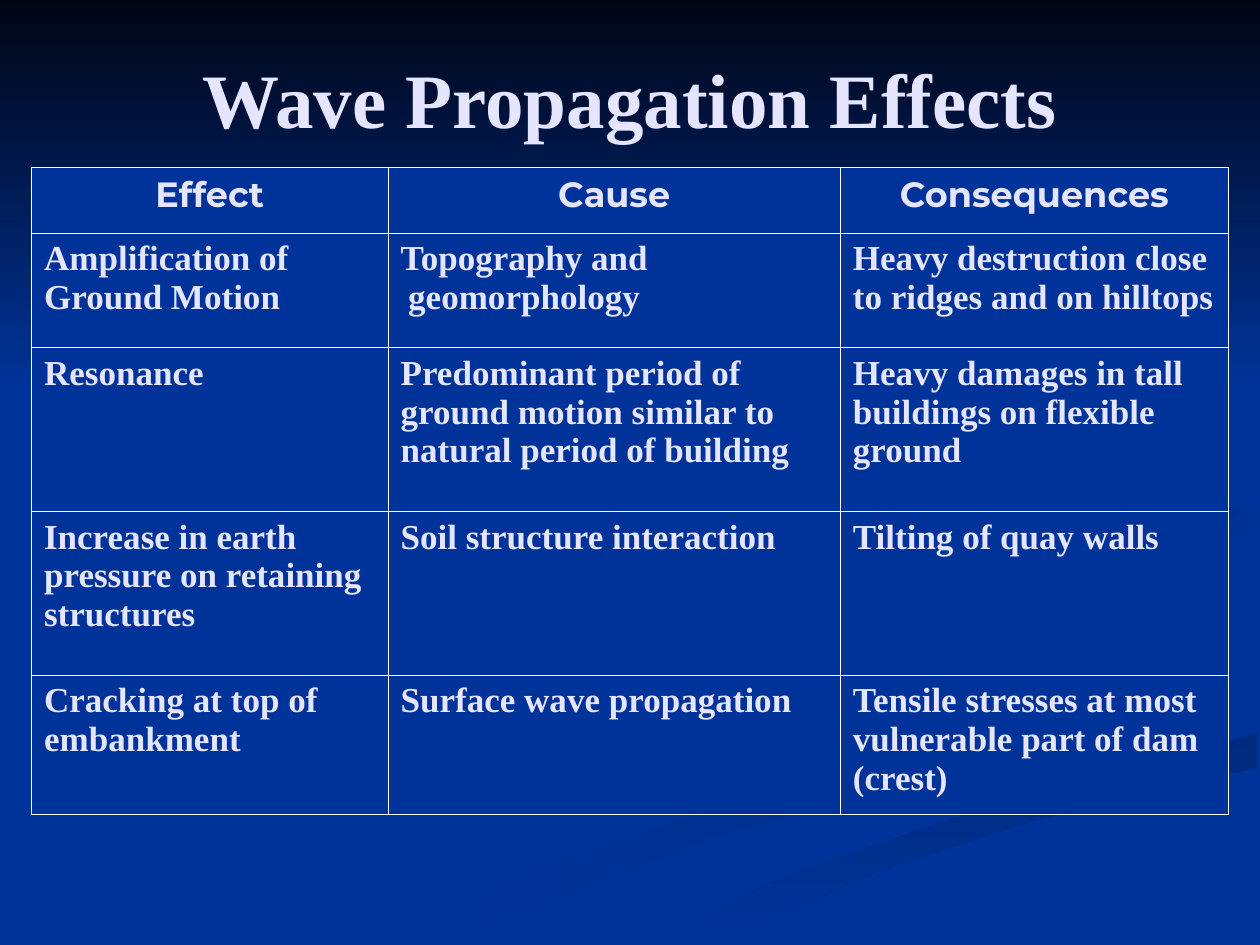
from lxml.etree import SubElement
from pptx import Presentation
from pptx.dml.color import RGBColor
from pptx.enum.shapes import MSO_SHAPE
from pptx.enum.text import MSO_ANCHOR, PP_ALIGN
from pptx.oxml.ns import qn
from pptx.util import Emu, Pt

PX = 9144
BLUE = RGBColor(0x00, 0x33, 0x99)
NIGHT = RGBColor(0x00, 0x05, 0x14)
SOFT_SHADE = RGBColor(0x00, 0x2E, 0x8B)
MID_SHADE = RGBColor(0x00, 0x2D, 0x86)
DEEP_SHADE = RGBColor(0x00, 0x2A, 0x7D)
PALE = RGBColor(0xE5, 0xE5, 0xFF)
WHITE = RGBColor(0xFF, 0xFF, 0xFF)
SERIF = "Times New Roman"
SANS = "Montserrat"

LONG_SWOOSH = [(275, 0), (302, 37), (481, 94), (500, 122), (440, 159), (264, 206),
               (61, 290), (0, 290), (117, 231), (279, 180), (480, 120), (428, 76),
               (286, 28)]
LOW_SWOOSH = [(0, 168), (68, 168), (192, 111), (318, 70), (495, 28), (495, 0),
              (433, 21), (261, 66), (127, 112)]
SIDE_SWOOSH = [(0, 58), (45, 94), (25, 66), (97, 37), (217, 18), (217, 0), (84, 22)]

COLUMNS = [283, 359, 308]
ROWS = [52, 91, 130, 130, 110]
HANGING = "Topography and geomorphology"
EFFECTS = [
    ["Effect", "Cause", "Consequences"],
    ["Amplification of Ground Motion", HANGING,
     "Heavy destruction close to ridges and on hilltops"],
    ["Resonance",
     "Predominant period of ground motion similar to natural period of building",
     "Heavy damages in tall buildings on flexible ground"],
    ["Increase in earth pressure on retaining structures",
     "Soil structure interaction", "Tilting of quay walls"],
    ["Cracking at top of embankment", "Surface wave propagation",
     "Tensile stresses at most vulnerable part of dam (crest)"],
]


def px(*lengths):
    """Turn px lengths into EMU."""
    return [Emu(length * PX) for length in lengths]


def write(frame, text, size=20, font=SERIF, align=PP_ALIGN.LEFT, hanging=0):
    """Put one bold paragraph into a text frame."""
    frame.word_wrap = True
    para = frame.paragraphs[0]
    para.alignment = align
    if hanging:
        properties = para._p.get_or_add_pPr()
        properties.set("marL", str(hanging * PX))
        properties.set("indent", str(-hanging * PX))
    span = para.add_run()
    span.text = text
    span.font.size = Pt(size)
    span.font.name = font
    span.font.bold = True
    span.font.color.rgb = PALE


def shade(shape, colors, angle):
    """Fill a shape with a clockwise gradient and no outline."""
    shape.shadow.inherit = False
    shape.line.fill.background()
    shape.fill.gradient()
    shape.fill.gradient_angle = -angle % 360
    for stop, color in zip(shape.fill.gradient_stops, colors):
        stop.color.rgb = color


def add_swoosh(page, corner, outline, colors, angle):
    """Draw one shaded swoosh from its top left corner."""
    left, top = corner
    points = [(left + x, top + y) for x, y in outline]
    builder = page.shapes.build_freeform(*points[0], scale=PX)
    builder.add_line_segments(points[1:], close=True)
    shade(builder.convert_to_shape(), colors, angle)


def add_backdrop(page, box):
    """Draw the blue background, its swooshes and the dark upper band."""
    page.background.fill.solid()
    page.background.fill.fore_color.rgb = BLUE
    add_swoosh(page, (300, 459), LONG_SWOOSH, (BLUE, SOFT_SHADE), 0)
    add_swoosh(page, (503, 581), LOW_SWOOSH, (DEEP_SHADE, BLUE), 90)
    add_swoosh(page, (781, 402), SIDE_SWOOSH, (MID_SHADE, BLUE), 45)
    band = page.shapes.add_shape(MSO_SHAPE.RECTANGLE, *px(*box))
    shade(band, (NIGHT, BLUE), 90)


def add_title(page, box):
    """Write the centred slide title."""
    frame = page.shapes.add_textbox(*px(*box)).text_frame
    frame.vertical_anchor = MSO_ANCHOR.MIDDLE
    write(frame, "Wave Propagation Effects", size=44, align=PP_ALIGN.CENTER)


def add_borders(cell):
    """Draw a thin white line on each side of a cell."""
    properties = cell._tc.get_or_add_tcPr()
    for side in ("a:lnL", "a:lnR", "a:lnT", "a:lnB"):
        line = SubElement(properties, qn(side), w=str(Pt(0.45)))
        fill = SubElement(line, qn("a:solidFill"))
        SubElement(fill, qn("a:srgbClr"), val=str(WHITE))


def add_effects_table(page, box):
    """Build the table of effects, causes and consequences."""
    table = page.shapes.add_table(len(ROWS), len(COLUMNS), *px(*box)).table
    table.first_row = table.horz_banding = False
    for column, width in zip(table.columns, px(*COLUMNS)):
        column.width = width
    for row, height in zip(table.rows, px(*ROWS)):
        row.height = height
    for i, texts in enumerate(EFFECTS):
        for j, text in enumerate(texts):
            cell = table.cell(i, j)
            add_borders(cell)
            cell.fill.solid()
            cell.fill.fore_color.rgb = BLUE
            if i == 0:
                write(cell.text_frame, text, font=SANS, align=PP_ALIGN.CENTER)
            else:
                write(cell.text_frame, text, hanging=6 if text == HANGING else 0)


def main():
    """Build and save the deck."""
    deck = Presentation()
    deck.slide_width, deck.slide_height = px(1000, 750)
    page = deck.slides.add_slide(deck.slide_layouts[6])
    add_backdrop(page, (0, 0, 1000, 308))
    add_title(page, (50, 30, 900, 95))
    add_effects_table(page, (25, 133, sum(COLUMNS), sum(ROWS)))
    deck.save("out.pptx")


if __name__ == "__main__":
    main()
